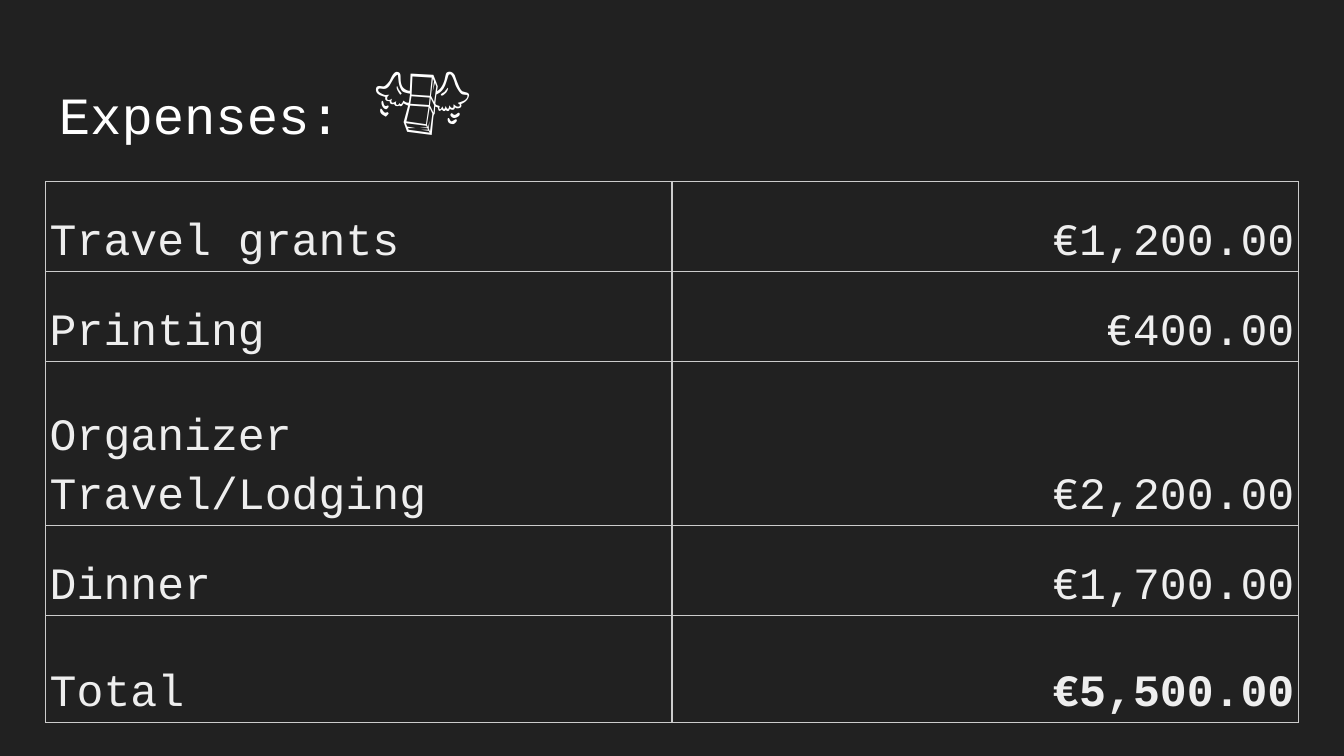
from dataclasses import dataclass

from lxml import etree
from pptx import Presentation
from pptx.dml.color import RGBColor
from pptx.enum.text import MSO_ANCHOR, PP_ALIGN
from pptx.oxml.ns import qn
from pptx.util import Inches, Pt

TOP, BOTTOM = MSO_ANCHOR.TOP, MSO_ANCHOR.BOTTOM
LEFT, RIGHT = PP_ALIGN.LEFT, PP_ALIGN.RIGHT
BLANK_LAYOUT = 6


@dataclass(frozen=True)
class Theme:
    """Colours, font and type sizes of the slide."""
    background: str = "212121"
    title: str = "FFFFFF"
    body: str = "EEEEEE"
    border: str = "CCCCCC"
    font: str = "Courier New"
    title_size: int = 28
    emoji_size: int = 52
    body_size: int = 24
    border_width: float = 0.74
    line_spacing: float = 1.15


THEME = Theme()
SLIDE_WIDTH = 10
SLIDE_HEIGHT = SLIDE_WIDTH * 9 / 16
MARGIN = 0.34
COLUMN_WIDTH = 4.66
EXPENSES = [
    # label, amount, row height
    ("Travel grants", "€1,200.00", 0.67),
    ("Printing", "€400.00", 0.67),
    ("Organizer Travel/Lodging", "€2,200.00", 1.22),
    ("Dinner", "€1,700.00", 0.67),
    ("Total", "€5,500.00", 0.8),
]


def style_span(span, size, color, bold=False):
    """Set the font of one run."""
    span.font.name = THEME.font
    span.font.size = Pt(size)
    span.font.bold = bold
    span.font.color.rgb = RGBColor.from_string(color)


def add_title(page, spans):
    """Add the title line from (text, size) pairs."""
    box = page.shapes.add_textbox(
        Inches(MARGIN), Inches(0.18), Inches(2 * COLUMN_WIDTH), Inches(0.93))
    frame = box.text_frame
    frame.word_wrap = True
    frame.vertical_anchor = TOP
    frame.margin_left = frame.margin_right = Inches(0.1)
    frame.margin_top = frame.margin_bottom = Inches(0.1)
    for text, size in spans:
        span = frame.paragraphs[0].add_run()
        span.text = text
        style_span(span, size, THEME.title)


def set_borders(cell):
    """Draw a thin line on all four sides of a cell."""
    properties = cell._tc.get_or_add_tcPr()
    for side in ("a:lnL", "a:lnR", "a:lnT", "a:lnB"):
        line = etree.SubElement(
            properties, qn(side), w=str(Pt(THEME.border_width)))
        fill = etree.SubElement(line, qn("a:solidFill"))
        etree.SubElement(fill, qn("a:srgbClr"), val=THEME.border)


def fill_cell(cell, text, alignment, spacing, bold):
    """Write and format one table cell."""
    set_borders(cell)
    cell.fill.background()
    cell.vertical_anchor = BOTTOM
    cell.margin_left = cell.margin_right = Inches(0.03)
    cell.margin_top = cell.margin_bottom = Inches(0.02)
    para = cell.text_frame.paragraphs[0]
    para.text = text
    para.alignment = alignment
    para.line_spacing = spacing
    style_span(para.runs[0], THEME.body_size, THEME.body, bold)


def add_expense_table(page, expenses):
    """Add the table of labels and amounts, with a bold total."""
    height = sum(row_height for _, _, row_height in expenses)
    table = page.shapes.add_table(
        len(expenses), 2, Inches(MARGIN), Inches(1.35),
        Inches(2 * COLUMN_WIDTH), Inches(height)).table
    table.first_row = table.horz_banding = False
    for column in table.columns:
        column.width = Inches(COLUMN_WIDTH)
    for index, (label, amount, row_height) in enumerate(expenses):
        is_total = index == len(expenses) - 1
        label_spacing = 1.0 if is_total else THEME.line_spacing
        table.rows[index].height = Inches(row_height)
        fill_cell(table.cell(index, 0), label, LEFT, label_spacing, False)
        fill_cell(table.cell(index, 1), amount, RIGHT,
                  THEME.line_spacing, is_total)


def main():
    """Build the expenses slide and save it."""
    deck = Presentation()
    deck.slide_width = Inches(SLIDE_WIDTH)
    deck.slide_height = Inches(SLIDE_HEIGHT)
    page = deck.slides.add_slide(deck.slide_layouts[BLANK_LAYOUT])
    page.background.fill.solid()
    page.background.fill.fore_color.rgb = RGBColor.from_string(THEME.background)
    add_title(page, [("Expenses: ", THEME.title_size),
                     ("💸", THEME.emoji_size)])
    add_expense_table(page, EXPENSES)
    deck.save("out.pptx")


main()
